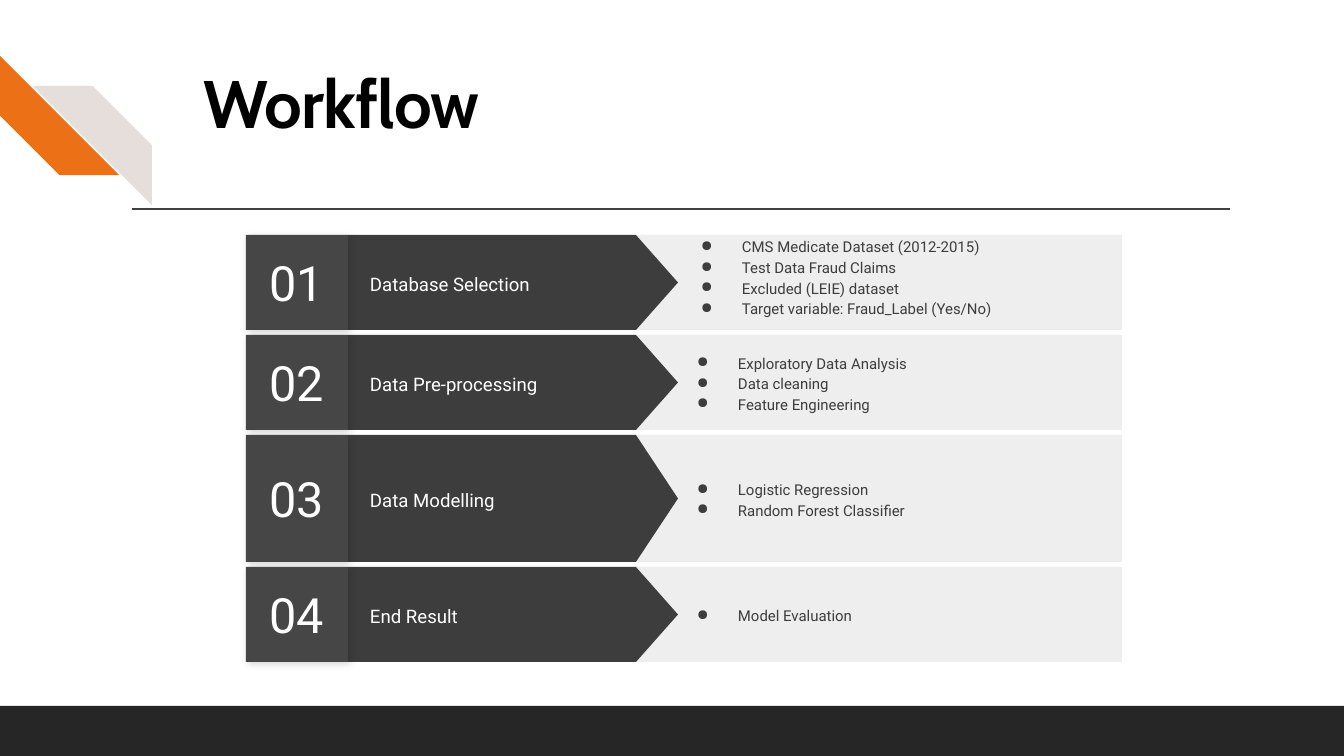
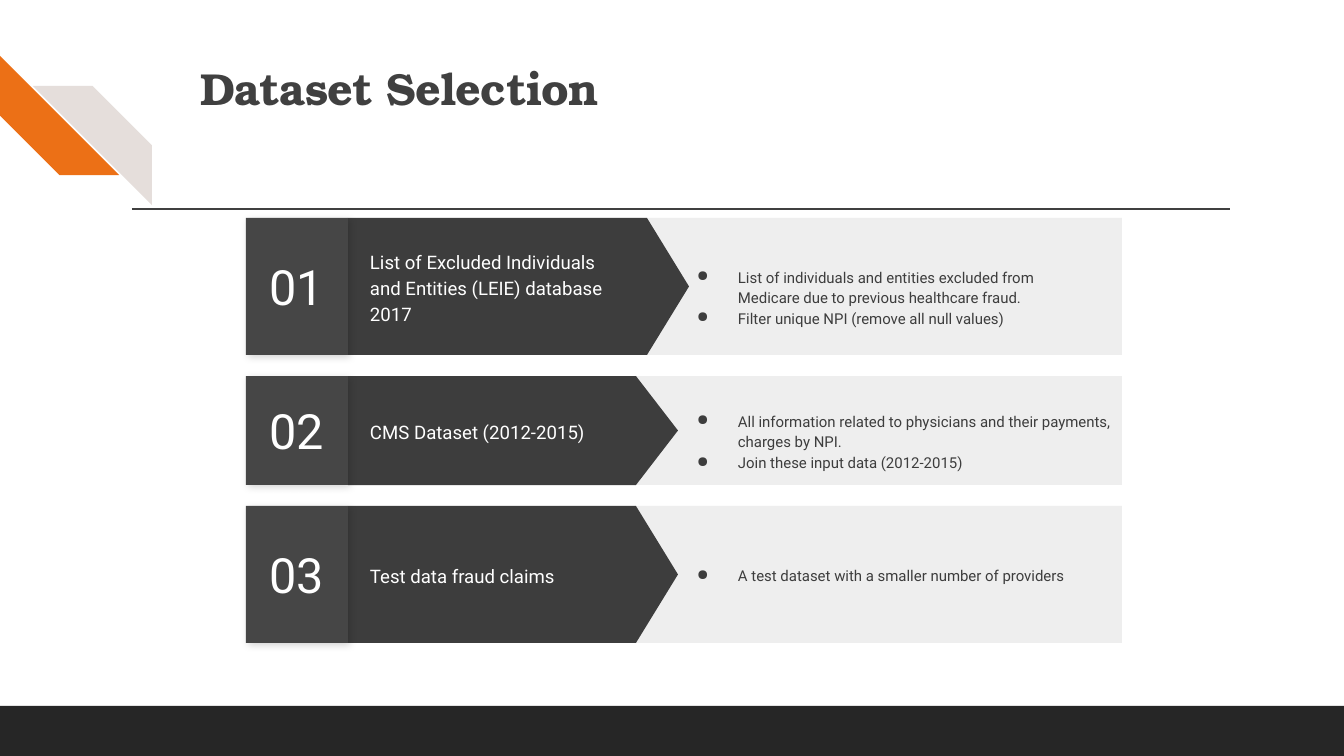
from dataclasses import dataclass

from lxml import etree
from pptx import Presentation
from pptx import util as u
from pptx.dml.color import RGBColor
from pptx.enum import shapes, text
from pptx.oxml.ns import qn

SCALE = 914400 / 100.8  # EMU in one px
SLIDE_SIZE = (1344, 756)


@dataclass(frozen=True)
class Theme:
    footer: str = "262626"
    rule: str = "404040"
    accent: str = "EC7016"
    pale: str = "E5DEDB"
    panel: str = "EEEEEE"
    arrow: str = "3D3D3D"
    number: str = "464646"
    light: str = "FFFFFF"
    shadow: str = "000000"
    font: str = "Roboto"
    number_size: float = 34.7
    label_size: float = 13.3
    list_size: float = 10.7


THEME = Theme()


@dataclass
class Step:
    label: str
    bullets: list
    height: int
    tip: int = 678  # x of the arrow point
    list_left: int = 657
    list_width: int = 436
    list_shift: int = 0  # offset of the list from the row middle


# Content
SLIDES = [
    dict(
        title="Workflow",
        style=dict(font="Cabin", size=48, color="000000", inset=13),
        top=235, gap=5,
        steps=[
            Step("Database Selection",
                 ["CMS Medicate Dataset (2012-2015)", "Test Data Fraud Claims",
                  "Excluded (LEIE) dataset", "Target variable: Fraud_Label (Yes/No)"],
                 95, list_left=661, list_shift=-6),
            Step("Data Pre-processing",
                 ["Exploratory Data Analysis", "Data cleaning", "Feature Engineering"], 95),
            Step("Data Modelling", ["Logistic Regression", "Random Forest Classifier"], 127),
            Step("End Result", ["Model Evaluation"], 95),
        ],
    ),
    dict(
        title="Dataset Selection",
        style=dict(font="TeX Gyre Bonum", size=32, color="404040", inset=10),
        top=218, gap=21,
        steps=[
            Step("List of Excluded Individuals and Entities (LEIE) database 2017",
                 ["List of individuals and entities excluded from Medicare due to "
                  "previous healthcare fraud.",
                  "Filter unique NPI (remove all null values)"],
                 137, tip=689, list_shift=10),
            Step("CMS Dataset (2012-2015)",
                 ["All information related to physicians and their payments, charges by NPI.",
                  "Join these input data (2012-2015)"],
                 109, list_width=486, list_shift=10),
            Step("Test data fraud claims",
                 ["A test dataset with a smaller number of providers"], 137),
        ],
    ),
]

# Columns of a step row
NUMBER_LEFT, ARROW_LEFT, PANEL_LEFT, PANEL_RIGHT = 246, 348, 560, 1122
TIP_LENGTH = 42


def px(*values):
    return [u.Emu(round(value * SCALE)) for value in values]


def add_box(slide, kind, box, color):
    shape = slide.shapes.add_shape(kind, *px(*box))
    shape.shadow.inherit = False
    shape.fill.solid()
    shape.fill.fore_color.rgb = RGBColor.from_string(color)
    shape.line.fill.background()
    return shape


def add_bullet(paragraph, color):
    properties = paragraph._p.get_or_add_pPr()
    properties.set("marL", str(px(68)[0]))
    properties.set("indent", str(px(-41)[0]))
    bullet_color = etree.SubElement(properties, qn("a:buClr"))
    etree.SubElement(bullet_color, qn("a:srgbClr"), val=color)
    etree.SubElement(properties, qn("a:buChar"), char="●")


def write(shape, lines, *, size, color, font=THEME.font, bold=False, align="LEFT",
          anchor="MIDDLE", spacing=1.0, insets=(13, 13, 13, 13), bullets=False):
    frame = shape.text_frame
    frame.word_wrap = True
    frame.auto_size = text.MSO_AUTO_SIZE.NONE
    frame.vertical_anchor = text.MSO_ANCHOR[anchor]
    (frame.margin_left, frame.margin_top,
     frame.margin_right, frame.margin_bottom) = px(*insets)
    for index, line in enumerate(lines):
        paragraph = frame.paragraphs[0] if index == 0 else frame.add_paragraph()
        if bullets:
            add_bullet(paragraph, color)
        paragraph.alignment = text.PP_ALIGN[align]
        paragraph.line_spacing = spacing
        run = paragraph.add_run()
        run.text = line
        run.font.name, run.font.size, run.font.bold = font, u.Pt(size), bold
        run.font.color.rgb = RGBColor.from_string(color)


def add_soft_shadow(shape):
    effects = shape.element.spPr.find(qn("a:effectLst"))
    shadow = etree.SubElement(effects, qn("a:outerShdw"), blurRad=str(u.Pt(5.6)),
                              dist=str(u.Pt(2.2)), dir=str(45 * 60000),
                              algn="bl", rotWithShape="0")
    color = etree.SubElement(shadow, qn("a:srgbClr"), val=THEME.shadow)
    etree.SubElement(color, qn("a:alpha"), val="17000")


def build_layout(layout, slide):
    """Draw the shared parts on a slide, then move them into its layout."""
    kinds = shapes.MSO_SHAPE
    footer = add_box(slide, kinds.RECTANGLE, (0, 706, 1344, 50), THEME.footer)
    rule = slide.shapes.add_connector(shapes.MSO_CONNECTOR.STRAIGHT, *px(132, 209, 1230, 209))
    rule.line.color.rgb = RGBColor.from_string(THEME.rule)
    rule.line.width = u.Pt(1)
    etree.SubElement(rule.element.spPr, qn("a:effectLst"))
    parts = [footer, rule]
    for left, top, rotation, color in [(0, 56, 270, THEME.accent), (33, 86, 90, THEME.pale)]:
        stripe = add_box(slide, kinds.DIAGONAL_STRIPE, (left, top, 119, 119), color)
        stripe.adjustments[0] = 0.5
        stripe.rotation = rotation
        parts.append(stripe)
    for index, part in enumerate(parts):
        part.element.xpath(".//p:cNvPr")[0].set("id", str(100 + index))
        layout.shapes.element.insert(2 + index, part.element)
    title = layout.placeholders[0]
    title.left, title.top, title.width, title.height = px(190, 57, 1034, 134)


def add_title(slide, title, style):
    shape = slide.shapes.title
    write(shape, [title], font=style["font"], size=style["size"], color=style["color"],
          bold=True, anchor="TOP", spacing=0.9, insets=[style["inset"]] * 4)
    for properties in shape.element.iter(qn("a:rPr")):
        properties.set("spc", "-50")


def add_step(slide, number, step, top):
    kinds, height = shapes.MSO_SHAPE, step.height
    # Panel, arrow with label, number tile
    add_box(slide, kinds.RECTANGLE,
            (PANEL_LEFT, top, PANEL_RIGHT - PANEL_LEFT, height), THEME.panel)
    arrow = add_box(slide, kinds.PENTAGON,
                    (ARROW_LEFT, top, step.tip - ARROW_LEFT, height), THEME.arrow)
    arrow.adjustments[0] = TIP_LENGTH / height
    write(arrow, [step.label], size=THEME.label_size, color=THEME.light, spacing=1.15,
          insets=(22, 13, 46, 13))
    tile = add_box(slide, kinds.RECTANGLE,
                   (NUMBER_LEFT, top, ARROW_LEFT - NUMBER_LEFT, height), THEME.number)
    add_soft_shadow(tile)
    write(tile, [f"{number:02}"], size=THEME.number_size, color=THEME.light, align="CENTER")
    # Bullet list
    details = slide.shapes.add_textbox(
        *px(step.list_left, top + step.list_shift, step.list_width, height))
    write(details, step.bullets, size=THEME.list_size, color=THEME.arrow, spacing=1.15,
          bullets=True)


def main():
    presentation = Presentation()
    presentation.slide_width, presentation.slide_height = px(*SLIDE_SIZE)
    layout = presentation.slide_layouts.get_by_name("Title Only")
    for index, content in enumerate(SLIDES):
        slide = presentation.slides.add_slide(layout)
        if index == 0:
            build_layout(layout, slide)
        add_title(slide, content["title"], content["style"])
        top = content["top"]
        for number, step in enumerate(content["steps"], 1):
            add_step(slide, number, step, top)
            top += step.height + content["gap"]
    presentation.save("out.pptx")


if __name__ == "__main__":
    main()
